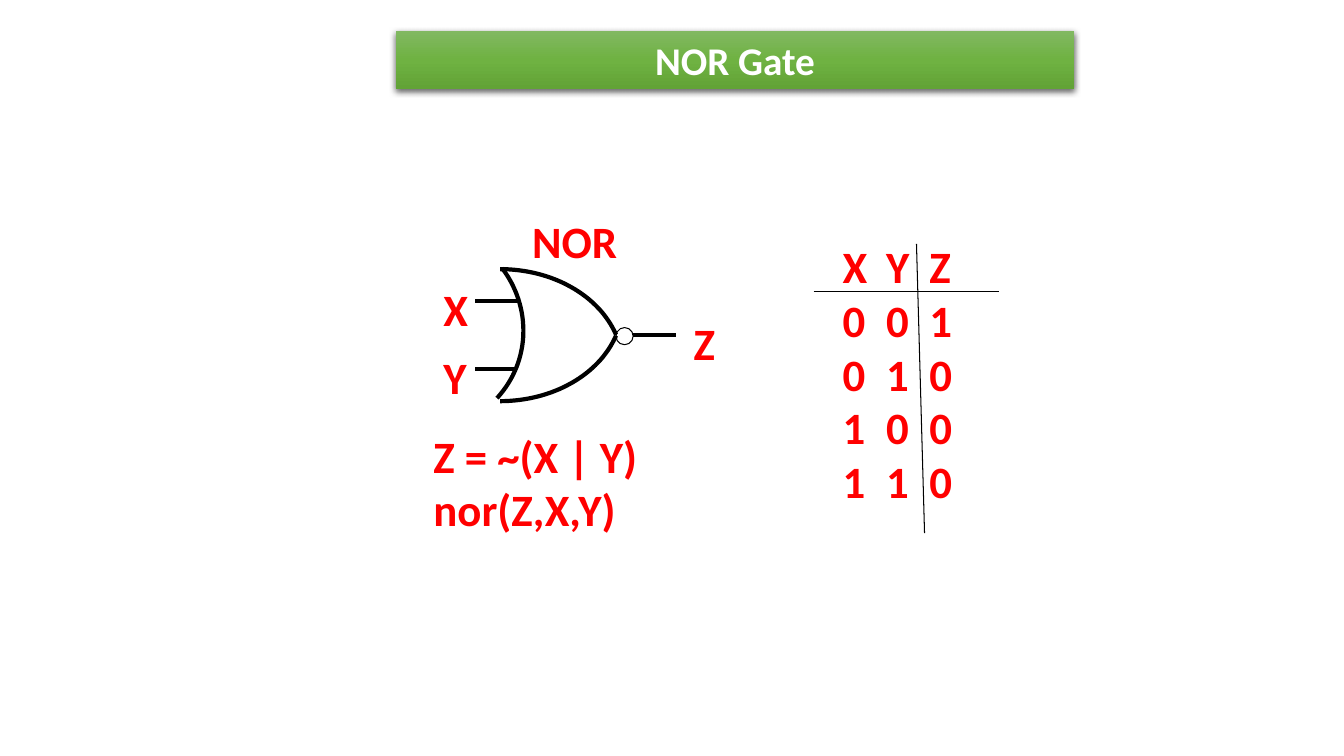
from lxml import etree
from pptx import Presentation
from pptx import util as u
from pptx.dml.color import RGBColor
from pptx.enum import shapes, text
from pptx.oxml import parse_xml
from pptx.oxml.ns import nsdecls, qn

SCALE = 9144  # EMU per px, 100 px to the inch
RED = RGBColor(0xFF, 0x00, 0x00)
BLACK = RGBColor(0x00, 0x00, 0x00)
WHITE = RGBColor(0xFF, 0xFF, 0xFF)
GREENS = [RGBColor(0x81, 0xB8, 0x61), RGBColor(0x6F, 0xB2, 0x42), RGBColor(0x62, 0xA3, 0x36)]
CURVE_STEPS = 32
COLUMN_STEP = 43


def px(*lengths):
    return [round(length * SCALE) for length in lengths]


def write(frame, lines, size, color, tab_stops=()):
    for number, line in enumerate(lines):
        paragraph = frame.paragraphs[0] if number == 0 else frame.add_paragraph()
        if tab_stops:
            tabs = etree.SubElement(paragraph._p.get_or_add_pPr(), qn("a:tabLst"))
            for stop in px(*tab_stops):
                etree.SubElement(tabs, qn("a:tab"), pos=str(stop), algn="l")
        run = paragraph.add_run()
        run.text = line
        run.font.name = "Calibri"
        run.font.size = u.Pt(size)
        run.font.bold = True
        run.font.color.rgb = color


presentation = Presentation()
presentation.slide_width, presentation.slide_height = px(1333, 750)
slide = presentation.slides.add_slide(presentation.slide_layouts[5])

# Title banner with gradient and soft shadow
title = slide.shapes.title
title.left, title.top, title.width, title.height = px(393, 31, 672, 57)
frame = title.text_frame
frame.auto_size = text.MSO_AUTO_SIZE.NONE
frame.vertical_anchor = text.MSO_ANCHOR.MIDDLE
write(frame, ["NOR Gate"], 28, WHITE)
frame.paragraphs[0].alignment = text.PP_ALIGN.CENTER
stops = "".join(
    f'<a:gs pos="{number * 50000}"><a:srgbClr val="{green}"/></a:gs>'
    for number, green in enumerate(GREENS)
)
title._element.spPr.append(parse_xml(
    f'<a:gradFill {nsdecls("a")} rotWithShape="1"><a:gsLst>{stops}</a:gsLst>'
    '<a:lin ang="5400000" scaled="0"/></a:gradFill>'))
title._element.spPr.append(parse_xml(
    f'<a:effectLst {nsdecls("a")}><a:outerShdw blurRad="57150" dist="19050" dir="5400000" '
    'algn="ctr" rotWithShape="0"><a:srgbClr val="000000"><a:alpha val="63000"/></a:srgbClr>'
    '</a:outerShdw></a:effectLst>'))

# Gate outline: upper, lower and back curves as cubic control points
gate_curves = [
    [(496, 267), (548, 267), (594, 293), (611, 332)],
    [(496, 398), (548, 398), (594, 372), (611, 333)],
    [(498, 266), (527, 304), (527, 358), (493, 395)],
]
for controls in gate_curves:
    points = []
    for step in range(CURVE_STEPS + 1):
        t = step / CURVE_STEPS
        weights = [(1 - t) ** 3, 3 * t * (1 - t) ** 2, 3 * t ** 2 * (1 - t), t ** 3]
        points.append(px(*(sum(w * c for w, c in zip(weights, axis)) for axis in zip(*controls))))
    builder = slide.shapes.build_freeform(*points[0])
    builder.add_line_segments(points[1:], close=False)
    curve = builder.convert_to_shape()
    curve.shadow.inherit = False
    curve.fill.background()
    curve.line.color.rgb = BLACK
    curve.line.width = u.Pt(3)

# Gate inputs and output, then the rules of the truth table
straight_lines = [
    (513, 299, 471, 299, 3),
    (513, 366, 471, 366, 3),
    (670, 332, 628, 332, 3),
    (807, 289, 991, 289, 0.75),
    (909, 242, 917, 529, 0.75),
]
for *ends, weight in straight_lines:
    line = slide.shapes.add_connector(shapes.MSO_CONNECTOR.STRAIGHT, *px(*ends))
    line.line.color.rgb = BLACK
    line.line.width = u.Pt(weight)
    etree.SubElement(line._element.spPr, qn("a:effectLst"))

# Inversion bubble
bubble = slide.shapes.add_shape(shapes.MSO_SHAPE.OVAL, *px(611, 325, 17, 17))
bubble.shadow.inherit = False
bubble.fill.background()
bubble.line.color.rgb = BLACK
bubble.line.width = u.Pt(0.75)

# Labels and equations
labels = [
    ((518, 207, 105, 64), ["NOR"]),
    ((430, 275, 45, 64), ["X"]),
    ((430, 342, 44, 64), ["Y"]),
    ((678, 308, 41, 64), ["Z"]),
    ((420, 420, 225, 118), ["Z = ~(X | Y)", "nor(Z,X,Y)"]),
]
for place, lines in labels:
    label = slide.shapes.add_textbox(*px(*place))
    label.text_frame.word_wrap = False
    write(label.text_frame, lines, 32, RED)

# Truth table, its columns set by tab stops
rows = ["XYZ", "001", "010", "100", "110"]
truth_table = slide.shapes.add_textbox(*px(826, 232, 140, 279))
truth_table.text_frame.word_wrap = True
write(truth_table.text_frame, ["\t".join(row) for row in rows], 32, RED,
      tab_stops=(COLUMN_STEP, 2 * COLUMN_STEP))

presentation.save("out.pptx")
